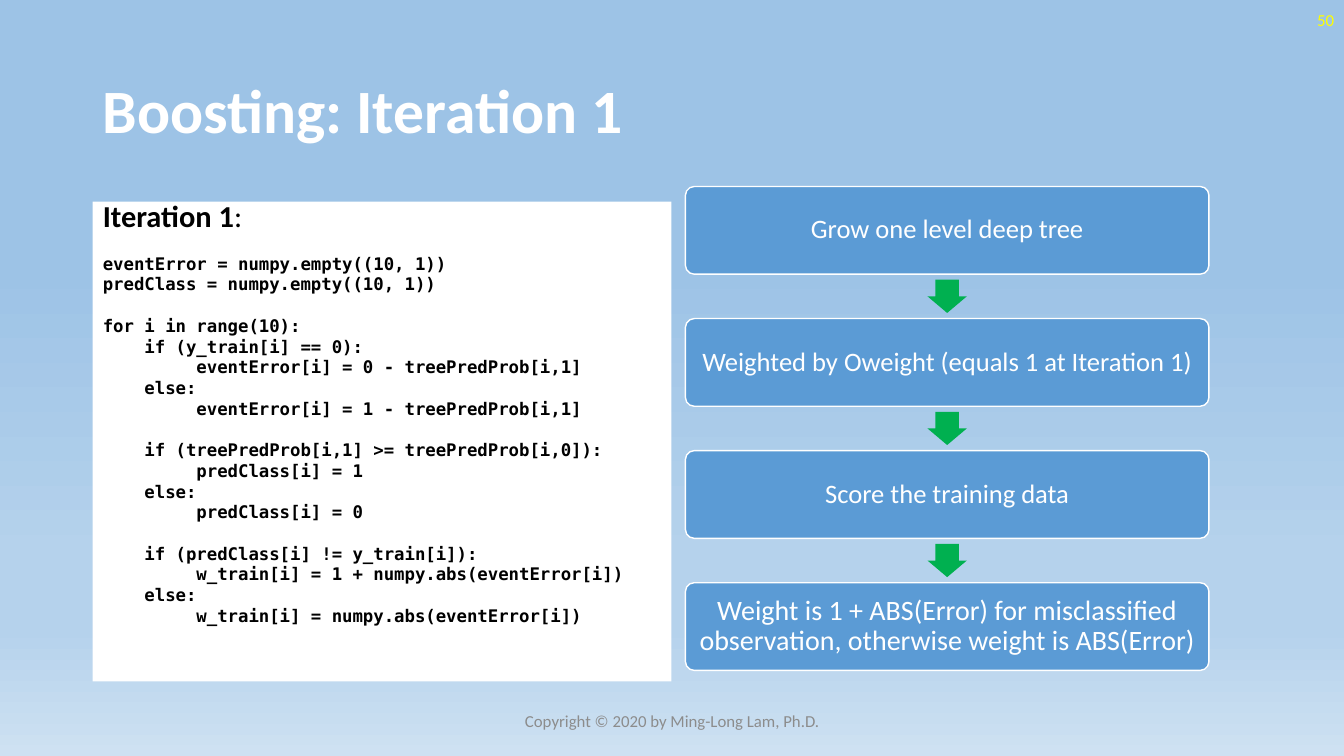
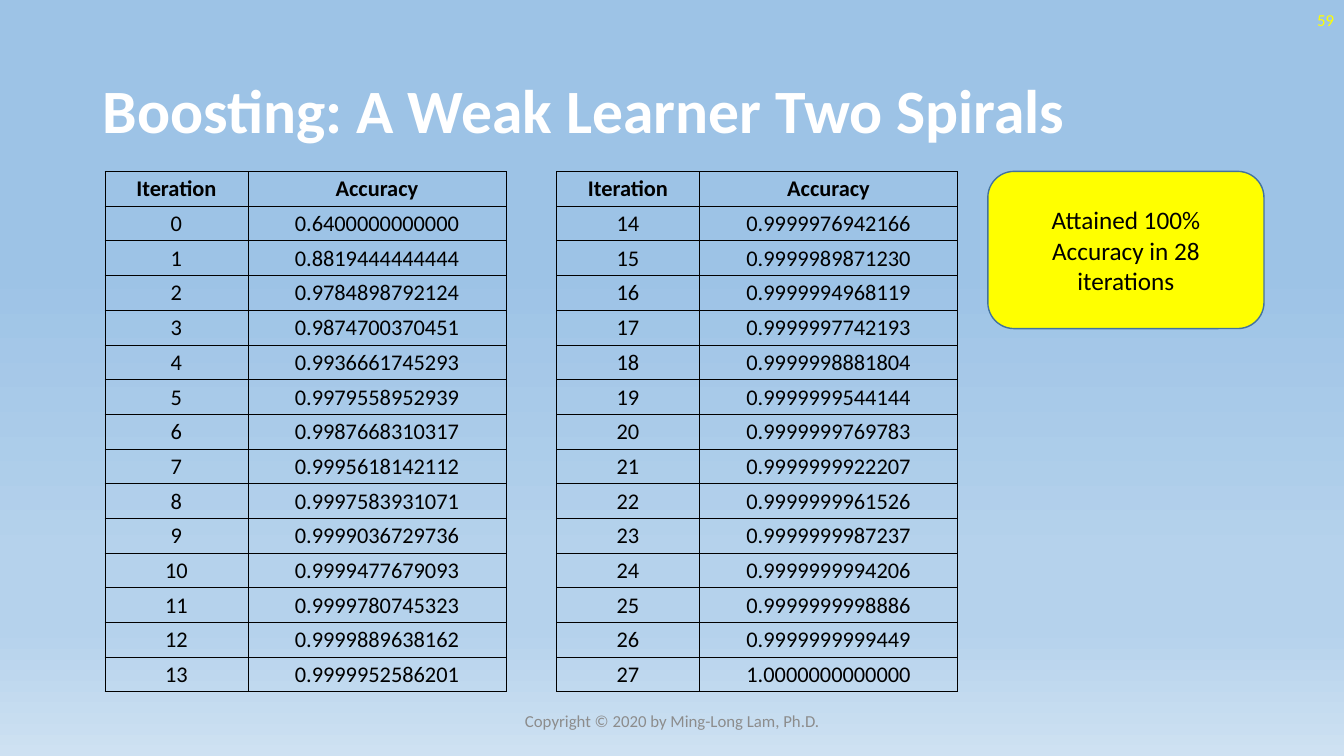
from pptx import Presentation
from pptx.dml.color import RGBColor
from pptx.enum.shapes import MSO_SHAPE as Preset
from pptx.enum.text import MSO_ANCHOR as Anchor, MSO_AUTO_SIZE as AutoSize, PP_ALIGN as Align
from pptx.oxml import parse_xml
from pptx.oxml.ns import nsdecls
from pptx.util import Inches, Pt

WIDTH, HEIGHT = Inches(13.33), Inches(7.5)
WHITE, BLACK, YELLOW, GREY = "FFFFFF", "000000", "FFFF00", "8C8C8C"
BLUE, DARK_BLUE, GREEN = "5B9BD5", "43739E", "00B050"
BACKGROUND_STOPS = [(35, "9DC3E6"), (74, "B5D2EC"), (83, "B5D2EC"), (100, "CEE1F2")]
FONT, CODE_FONT = "Calibri", "DejaVu Sans Mono"
CODE_LINE = Pt(14.8)

TITLE_AREA = (6.9, 5.33, 86.25, 19.33)
NUMBER_AREA = (77.5, 0, 22.5, 5.33)
FOOTER_AREA = (33.15, 92.67, 33.75, 5.33)
CODE_AREA = (6.9, 26.67, 43.06, 63.47)
CALLOUT_AREA = (73.5, 22.67, 20.55, 20.8)
STEP_LEFT, STEP_TOP, STEP_WIDTH, STEP_HEIGHT, STEP_GAP = 51, 24.67, 38.95, 11.6, 5.87
ARROW_WIDTH, ARROW_HEIGHT = 2.93, 4.4
TABLE_LEFT, TABLE_TOP, TABLE_PITCH, ROW_HEIGHT = 7.8, 22.67, 33.6, 4.59
COLUMN_WIDTHS = (10.65, 19.2)

FOOTER = "Copyright © 2020 by Ming-Long Lam, Ph.D."
STEPS = [
    ("Grow one level deep tree", 19),
    ("Weighted by Oweight (equals 1 at Iteration 1)", 19),
    ("Score the training data", 19),
    ("Weight is 1 + ABS(Error) for misclassified observation, "
     "otherwise weight is ABS(Error)", 20),
]
CODE = """\
eventError = numpy.empty((10, 1))
predClass = numpy.empty((10, 1))

for i in range(10):
    if (y_train[i] == 0):
         eventError[i] = 0 - treePredProb[i,1]
    else:
         eventError[i] = 1 - treePredProb[i,1]

    if (treePredProb[i,1] >= treePredProb[i,0]):
         predClass[i] = 1
    else:
         predClass[i] = 0

    if (predClass[i] != y_train[i]):
         w_train[i] = 1 + numpy.abs(eventError[i])
    else:
         w_train[i] = numpy.abs(eventError[i])"""
ACCURACIES = [
    "0.6400000000000", "0.8819444444444", "0.9784898792124", "0.9874700370451",
    "0.9936661745293", "0.9979558952939", "0.9987668310317", "0.9995618142112",
    "0.9997583931071", "0.9999036729736", "0.9999477679093", "0.9999780745323",
    "0.9999889638162", "0.9999952586201", "0.9999976942166", "0.9999989871230",
    "0.9999994968119", "0.9999997742193", "0.9999998881804", "0.9999999544144",
    "0.9999999769783", "0.9999999922207", "0.9999999961526", "0.9999999987237",
    "0.9999999994206", "0.9999999998886", "0.9999999999449", "1.0000000000000",
]
ROWS_PER_TABLE = 14


def color(value):
    return RGBColor.from_string(value)


def across(share):
    return round(WIDTH * share / 100)


def down(share):
    return round(HEIGHT * share / 100)


def area(left, top, width, height):
    return across(left), down(top), across(width), down(height)


def apply(target, values):
    for name, value in values.items():
        setattr(target, name, value)


def place(shape, shares):
    apply(shape, dict(zip(("left", "top", "width", "height"), area(*shares))))


def add_run(paragraph, text, size, text_color, bold=False, font=FONT):
    run = paragraph.add_run()
    run.text = text
    apply(run.font, {"name": font, "size": Pt(size), "bold": bold})
    run.font.color.rgb = color(text_color)


def write(frame, text, size, text_color, align=Align.CENTER, bold=False, spacing=1.0):
    apply(frame, {"word_wrap": True, "auto_size": AutoSize.NONE,
                  "vertical_anchor": Anchor.MIDDLE})
    paragraph = frame.paragraphs[0]
    apply(paragraph, {"alignment": align, "line_spacing": spacing})
    add_run(paragraph, text, size, text_color, bold)


def add_label(slide, shares, text, text_color, align):
    write(slide.shapes.add_textbox(*area(*shares)).text_frame, text, 12, text_color, align)


def add_preset(slide, preset, shares, fill, line=None, adjustments=()):
    shape = slide.shapes.add_shape(preset, *area(*shares))
    shape.shadow.inherit = False
    shape.fill.solid()
    shape.fill.fore_color.rgb = color(fill)
    if line:
        shape.line.color.rgb = color(line)
        shape.line.width = Pt(1)
    else:
        shape.line.fill.background()
    for index, value in enumerate(adjustments):
        shape.adjustments[index] = value
    return shape


def paint_background(master):
    fill = master.background.fill
    fill.gradient()
    fill.gradient_angle = 270
    stops = master.element.find(".//" + "{http://schemas.openxmlformats.org/drawingml/2006/main}gsLst")
    for stop in list(stops):
        stops.remove(stop)
    for position, value in BACKGROUND_STOPS:
        stops.append(parse_xml(
            f'<a:gs {nsdecls("a")} pos="{position * 1000}"><a:srgbClr val="{value}"/></a:gs>'))


def add_slide(presentation, layout, title, number):
    slide = presentation.slides.add_slide(presentation.slide_layouts[layout])
    place(slide.shapes.title, TITLE_AREA)
    write(slide.shapes.title.text_frame, title, 44, WHITE, Align.LEFT, True, 0.9)
    add_label(slide, NUMBER_AREA, number, YELLOW, Align.RIGHT)
    add_label(slide, FOOTER_AREA, FOOTER, GREY, Align.CENTER)
    return slide


def format_plain(paragraph, before, spacing):
    properties = paragraph._p.get_or_add_pPr()
    properties.set("marL", "0")
    properties.set("indent", "0")
    properties.append(parse_xml(f'<a:buNone {nsdecls("a")}/>'))
    apply(paragraph, {"alignment": Align.LEFT, "space_before": before,
                      "space_after": Pt(0), "line_spacing": spacing})


def fill_code(body):
    place(body, CODE_AREA)
    body.fill.solid()
    body.fill.fore_color.rgb = color(WHITE)
    frame = body.text_frame
    apply(frame, {"word_wrap": True, "auto_size": AutoSize.NONE, "vertical_anchor": Anchor.TOP})
    heading = frame.paragraphs[0]
    format_plain(heading, Pt(0), 0.7)
    add_run(heading, "Iteration 1", 21.7, BLACK, True)
    add_run(heading, ":", 21.7, BLACK)
    for block in CODE.split("\n\n"):
        for index, line in enumerate(block.split("\n")):
            paragraph = frame.add_paragraph()
            format_plain(paragraph, Pt(0) if index else CODE_LINE, CODE_LINE)
            add_run(paragraph, line, 12.4, BLACK, True, CODE_FONT)


def add_steps(slide):
    inset = Inches(0.08)
    for index, (text, size) in enumerate(STEPS):
        top = STEP_TOP + index * (STEP_HEIGHT + STEP_GAP)
        if index:
            add_preset(slide, Preset.DOWN_ARROW,
                       (STEP_LEFT + (STEP_WIDTH - ARROW_WIDTH) / 2,
                        top - (STEP_GAP + ARROW_HEIGHT) / 2, ARROW_WIDTH, ARROW_HEIGHT),
                       GREEN, adjustments=(0.6, 0.5))
        step = add_preset(slide, Preset.ROUNDED_RECTANGLE,
                          (STEP_LEFT, top, STEP_WIDTH, STEP_HEIGHT), BLUE, WHITE, (0.1,))
        apply(step.text_frame, {"margin_left": inset, "margin_right": inset,
                                "margin_top": inset, "margin_bottom": inset})
        write(step.text_frame, text, size, WHITE, spacing=0.9)


def format_cell(cell, text, bold):
    margin = Inches(0.01)
    apply(cell, {"margin_left": margin, "margin_right": margin, "margin_top": margin,
                 "margin_bottom": 0, "vertical_anchor": Anchor.MIDDLE})
    cell.fill.background()
    paragraph = cell.text_frame.paragraphs[0]
    paragraph.alignment = Align.CENTER
    add_run(paragraph, text, 16, BLACK, bold)
    properties = cell._tc.get_or_add_tcPr()
    for index, side in enumerate("LRTB"):
        properties.insert(index, parse_xml(
            f'<a:ln{side} {nsdecls("a")} w="{Pt(0.5)}"><a:solidFill>'
            f'<a:srgbClr val="{BLACK}"/></a:solidFill></a:ln{side}>'))


def add_accuracy_table(slide, left, first):
    values = ACCURACIES[first:first + ROWS_PER_TABLE]
    rows = [("Iteration", "Accuracy")]
    rows += [(str(iteration), value) for iteration, value in enumerate(values, first)]
    shares = (left, TABLE_TOP, sum(COLUMN_WIDTHS), ROW_HEIGHT * len(rows))
    table = slide.shapes.add_table(len(rows), len(COLUMN_WIDTHS), *area(*shares)).table
    apply(table, {"first_row": False, "horz_banding": False})
    for column, width in zip(table.columns, COLUMN_WIDTHS):
        column.width = across(width)
    for row_index, texts in enumerate(rows):
        table.rows[row_index].height = down(ROW_HEIGHT)
        for column_index, text in enumerate(texts):
            format_cell(table.cell(row_index, column_index), text, row_index == 0)


def main():
    presentation = Presentation()
    apply(presentation, {"slide_width": WIDTH, "slide_height": HEIGHT})
    paint_background(presentation.slide_master)

    iteration_slide = add_slide(presentation, 1, "Boosting: Iteration 1", "50")
    fill_code(iteration_slide.placeholders[1])
    add_steps(iteration_slide)

    accuracy_slide = add_slide(presentation, 5, "Boosting: A Weak Learner Two Spirals", "59")
    for index in range(2):
        add_accuracy_table(accuracy_slide, TABLE_LEFT + index * TABLE_PITCH,
                           index * ROWS_PER_TABLE)
    callout = add_preset(accuracy_slide, Preset.ROUNDED_RECTANGLE, CALLOUT_AREA,
                         YELLOW, DARK_BLUE)
    write(callout.text_frame, "Attained 100% Accuracy in 28 iterations", 18, BLACK)

    presentation.save("out.pptx")


if __name__ == "__main__":
    main()
